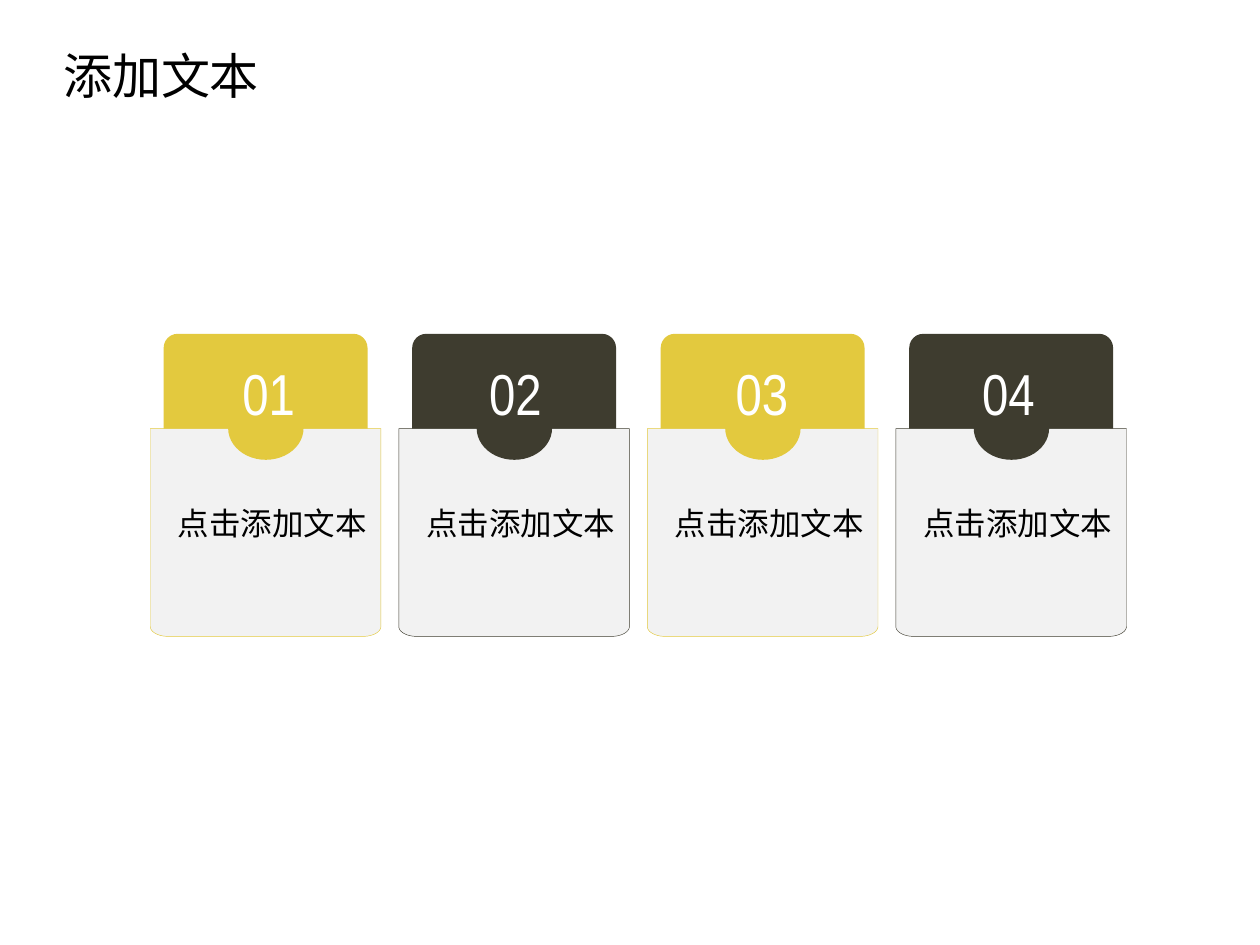
"""Build a slide with a row of four numbered pocket cards."""
import math

import pptx
import pptx.dml.color
import pptx.enum.shapes
import pptx.enum.text
import pptx.oxml.ns
import pptx.util
from lxml import etree
from pptx.util import Cm

COLORS = {
    "yellow": "E3C93E",
    "dark": "3E3C2F",
    "pocket": "F2F2F2",
    "white": "FFFFFF",
    "black": "000000",
}
CJK_FONT = "Noto Sans CJK SC"
CARD_COLORS = ["yellow", "dark", "yellow", "dark"]
CARD_PITCH = 5.01
NUMBER_PITCH = 4.97


def rgb(name):
    """Return the named colour."""
    return pptx.dml.color.RGBColor.from_string(COLORS[name])


def write_text(shape, text, size, font_name, color, alignment, wrap):
    """Write one formatted paragraph into a shape."""
    frame = shape.text_frame
    frame.text = text
    frame.word_wrap = wrap
    frame.auto_size = pptx.enum.text.MSO_AUTO_SIZE.NONE
    frame.vertical_anchor = pptx.enum.text.MSO_ANCHOR.TOP
    paragraph = frame.paragraphs[0]
    paragraph.alignment = alignment
    paragraph.font.size = pptx.util.Pt(size)
    paragraph.font.name = font_name
    paragraph.font.color.rgb = rgb(color)
    if font_name == CJK_FONT:
        latin = next(shape.element.iter(pptx.oxml.ns.qn("a:latin")))
        latin.addnext(etree.Element(pptx.oxml.ns.qn("a:ea"), typeface=font_name))


def add_title(slide, text):
    """Place the slide title at the top left."""
    title = slide.shapes.title
    title.left, title.top, title.width, title.height = Cm(1.02), Cm(0.79), Cm(4.8), Cm(1.45)
    write_text(title, text, 28, CJK_FONT, "black", pptx.enum.text.PP_ALIGN.LEFT, False)


def add_solid(shapes, kind, left, top, width, height, color):
    """Add a preset shape with a plain fill and no line."""
    shape = shapes.add_shape(kind, Cm(left), Cm(top), Cm(width), Cm(height))
    shape.shadow.inherit = False
    shape.fill.solid()
    shape.fill.fore_color.rgb = rgb(color)
    shape.line.fill.background()
    return shape


def add_pocket(shapes, left, top, width, height, color):
    """Add an outlined pocket with rounded bottom corners."""
    radius_x, radius_y, steps = 0.36, 0.2, 12
    right, bottom = left + width, top + height
    points = [(right, top)]
    for center_x, start in ((right - radius_x, 0), (left + radius_x, 90)):
        for step in range(steps + 1):
            angle = math.radians(start + 90 * step / steps)
            points.append((center_x + radius_x * math.cos(angle),
                           bottom - radius_y + radius_y * math.sin(angle)))
    builder = shapes.build_freeform(Cm(left), Cm(top))
    builder.add_line_segments([(Cm(x), Cm(y)) for x, y in points], close=True)
    pocket = builder.convert_to_shape()
    pocket.shadow.inherit = False
    pocket.fill.solid()
    pocket.fill.fore_color.rgb = rgb("pocket")
    pocket.line.color.rgb = rgb(color)
    pocket.line.width = pptx.util.Pt(0.25)


def add_number(shapes, left, number):
    """Add the card number."""
    box = shapes.add_textbox(Cm(left), Cm(7.11), Cm(2.2), Cm(1.6))
    frame = box.text_frame
    frame.margin_left = frame.margin_right = Cm(0.2)
    frame.margin_top = frame.margin_bottom = Cm(0.1)
    write_text(box, f"{number:02d}", 33, "Arial Narrow", "white",
               pptx.enum.text.PP_ALIGN.CENTER, True)


def add_card(slide, index, color):
    """Add one grouped card: tab, pocket, notch and number."""
    kinds = pptx.enum.shapes.MSO_SHAPE
    offset = index * CARD_PITCH
    shapes = slide.shapes.add_group_shape().shapes
    tab = add_solid(shapes, kinds.ROUNDED_RECTANGLE, 3.3 + offset, 6.73, 4.11, 3.15, color)
    tab.adjustments[0] = 0.09
    add_pocket(shapes, 3.03 + offset, 8.64, 4.65, 4.19, color)
    add_solid(shapes, kinds.OVAL, 4.6 + offset, 8, 1.52, 1.27, color)
    add_number(shapes, 4.32 + index * NUMBER_PITCH, index + 1)


def add_label(slide, index, text):
    """Add the caption on a pocket."""
    box = slide.shapes.add_textbox(Cm(3.33 + index * CARD_PITCH), Cm(10.03), Cm(4.32), Cm(1.02))
    write_text(box, text, 18, CJK_FONT, "black", pptx.enum.text.PP_ALIGN.LEFT, False)


def main():
    """Build and save the presentation."""
    presentation = pptx.Presentation()
    presentation.slide_width, presentation.slide_height = Cm(25.4), Cm(19.05)
    slide = presentation.slides.add_slide(presentation.slide_layouts[5])
    add_title(slide, "添加文本")
    for index, color in enumerate(CARD_COLORS):
        add_card(slide, index, color)
        add_label(slide, index, "点击添加文本")
    presentation.save("out.pptx")


if __name__ == "__main__":
    main()
